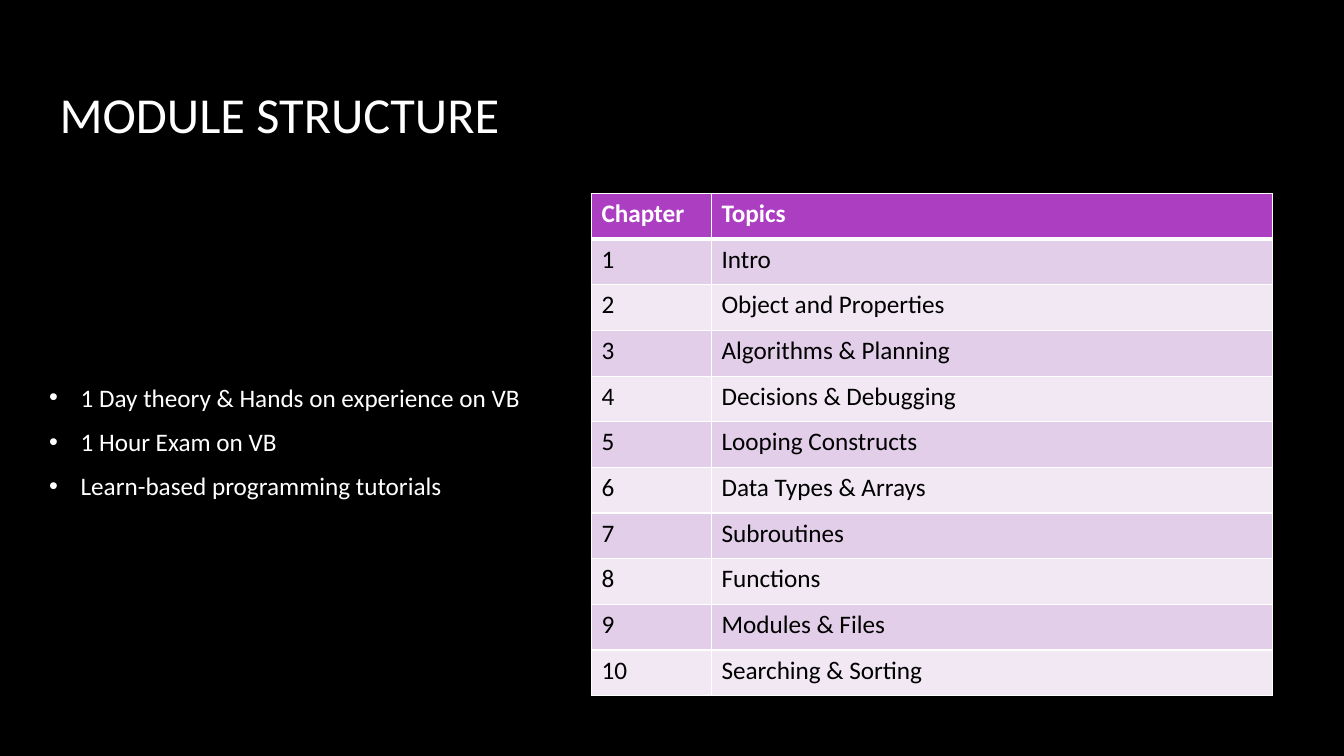
from lxml.etree import SubElement
from pptx import Presentation
from pptx.dml.color import RGBColor
from pptx.enum.text import MSO_ANCHOR as Anchor
from pptx.oxml.ns import qn
from pptx.util import Pt

WHITE, BLACK, PURPLE = "FFFFFF", "000000", "AC3EC1"
BANDS = ["F1E8F4", "E3CEE9"]
TOPICS = ["Intro", "Object and Properties", "Algorithms & Planning",
          "Decisions & Debugging", "Looping Constructs", "Data Types & Arrays",
          "Subroutines", "Functions", "Modules & Files", "Searching & Sorting"]
NOTES = ["1 Day theory & Hands on experience on VB", "1 Hour Exam on VB",
         "Learn-based programming tutorials"]


def write(para, text, size=18, color=WHITE, bold=False):
    span = para.add_run()
    span.text = text
    span.font.name = "Calibri"
    span.font.size = Pt(size)
    span.font.bold = bold
    span.font.color.rgb = RGBColor.from_string(color)


def add_border(cell, side, width):
    """Draw a white line on one side (L, R, T or B); call before filling the cell."""
    line = SubElement(cell._tc.get_or_add_tcPr(), qn(f"a:ln{side}"), w=str(Pt(width)))
    SubElement(SubElement(line, qn("a:solidFill")), qn("a:srgbClr"), val=WHITE)


deck = Presentation()
deck.slide_width, deck.slide_height = Pt(960), Pt(540)
page = deck.slides.add_slide(deck.slide_layouts[6])
page.background.fill.solid()
page.background.fill.fore_color.rgb = RGBColor.from_string(BLACK)

# Title
title = page.shapes.add_textbox(Pt(35.5), Pt(29), Pt(828), Pt(104.4)).text_frame
title.word_wrap = True
title.vertical_anchor = Anchor.MIDDLE
write(title.paragraphs[0], "MODULE STRUCTURE", size=36)

# Bulleted notes
notes = page.shapes.add_textbox(Pt(28), Pt(144), Pt(468.7), Pt(342.7)).text_frame
notes.word_wrap = True
notes.vertical_anchor = Anchor.MIDDLE
for index, note in enumerate(NOTES):
    para = notes.add_paragraph() if index else notes.paragraphs[0]
    para.space_after = Pt(10)
    props = para._p.get_or_add_pPr()
    props.set("marL", str(Pt(22.5)))
    props.set("indent", str(-Pt(22.5)))
    SubElement(SubElement(props, qn("a:buClr")), qn("a:srgbClr"), val=WHITE)
    SubElement(props, qn("a:buFont"), typeface="Arial")
    SubElement(props, qn("a:buChar"), char="•")
    write(para, note)

# Chapter table
rows = [("Chapter", "Topics")] + [(str(n), topic) for n, topic in enumerate(TOPICS, 1)]
row_height = 32.6
table = page.shapes.add_table(len(rows), 2, Pt(422.5), Pt(138.3),
                              Pt(486.7), Pt(row_height * len(rows))).table
table.columns[0].width, table.columns[1].width = Pt(85.7), Pt(401)
for r, row in enumerate(rows):
    table.rows[r].height = Pt(row_height)
    header = r == 0
    for c, text in enumerate(row):
        cell = table.cell(r, c)
        for side in "LRTB":
            under_header = (r, side) in [(0, "B"), (1, "T")]
            add_border(cell, side, 3 if under_header else 1)
        cell.fill.solid()
        cell.fill.fore_color.rgb = RGBColor.from_string(PURPLE if header else BANDS[r % 2])
        write(cell.text_frame.paragraphs[0], text,
              color=WHITE if header else BLACK, bold=header)

deck.save("out.pptx")
